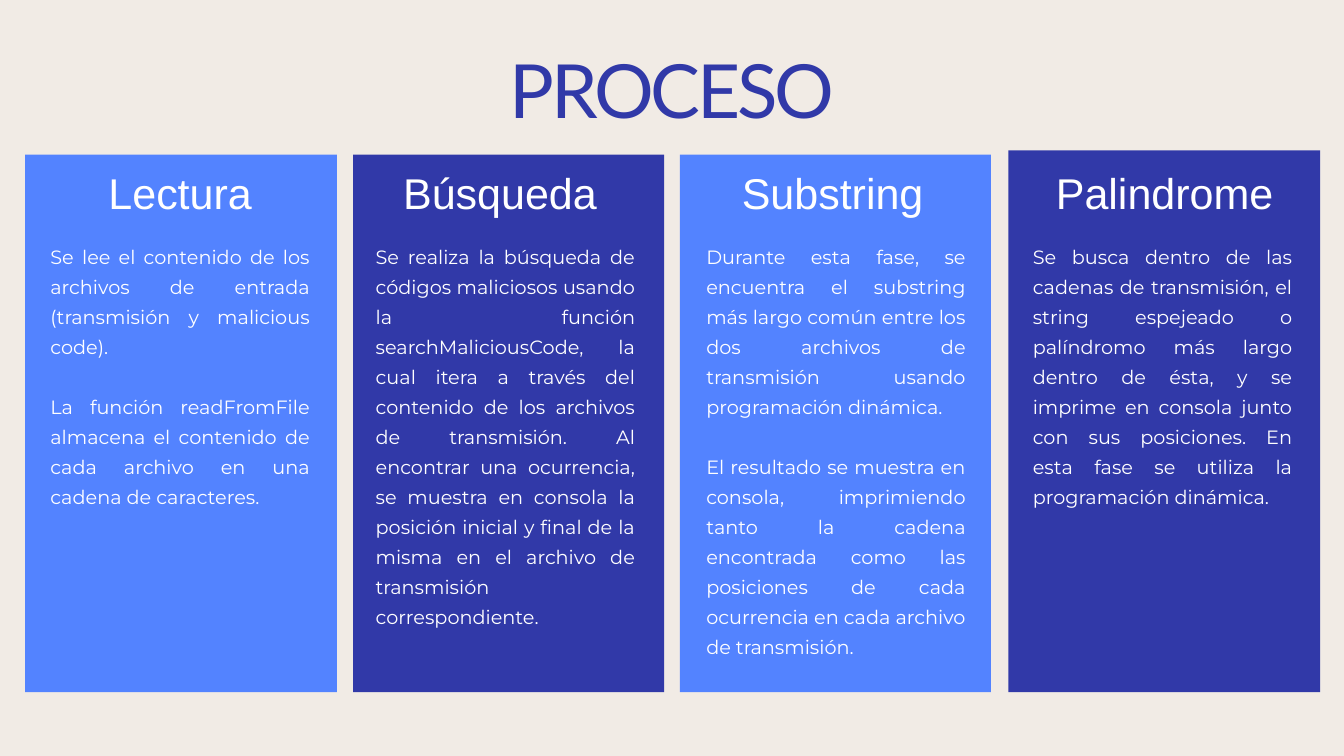
"""Build the slide that explains the four phases of the process."""
import dataclasses
import typing

import pptx
import pptx.dml.color
import pptx.enum.shapes
import pptx.enum.text
import pptx.util

Pt = pptx.util.Pt
ALIGN = pptx.enum.text.PP_ALIGN
COLORS = {"paper": "F1EBE5", "light": "5383FF", "dark": "3139A8", "white": "FFFFFF"}
CARD_BOTTOM = 741.6
TEXT_WIDTH = 278
HEADING_TOP, HEADING_HEIGHT = 186.5, 51
BODY_TOP = 254.9


@dataclasses.dataclass(frozen=True)
class TextStyle:
    """Describe the look of a text."""
    font: str
    size: float
    color: str
    align: typing.Any
    line: float
    gap: float = 0


@dataclasses.dataclass(frozen=True)
class Phase:
    """Describe one card of the process."""
    left: float
    top: float
    width: float
    color: str
    heading: str
    heading_left: float
    body_left: float
    body_height: float
    paragraphs: tuple[str, ...]


TITLE = TextStyle("Lato", 80, "dark", ALIGN.CENTER, 80)
HEADING = TextStyle("Arial", 46.1, "white", ALIGN.CENTER, 47.5)
BODY = TextStyle("Montserrat", 20.6, "white", ALIGN.JUSTIFY, 32.2, 32.2)

PHASES = (
    Phase(27, 165.6, 334, "light", "Lectura", 54, 54, 282, (
        "Se lee el contenido de los archivos de entrada (transmisión y malicious code).",
        "La función readFromFile almacena el contenido de cada archivo en una cadena de caracteres.",
    )),
    Phase(378.5, 165.6, 333, "dark", "Búsqueda", 396.7, 402.5, 440, (
        "Se realiza la búsqueda de códigos maliciosos usando la función searchMaliciousCode, "
        "la cual itera a través del contenido de los archivos de transmisión. Al encontrar una "
        "ocurrencia, se muestra en consola la posición inicial y final de la misma en el archivo "
        "de transmisión correspondiente.",
    )),
    Phase(728.6, 165.6, 333, "light", "Substring", 753.1, 756.7, 440, (
        "Durante esta fase, se encuentra el substring más largo común entre los dos archivos "
        "de transmisión usando programación dinámica.",
        "El resultado se muestra en consola, imprimiendo tanto la cadena encontrada como las "
        "posiciones de cada ocurrencia en cada archivo de transmisión.",
    )),
    Phase(1080.5, 161.2, 334, "dark", "Palindrome", 1108.8, 1106.6, 282, (
        "Se busca dentro de las cadenas de transmisión, el string espejeado o palíndromo más "
        "largo dentro de ésta, y se imprime en consola junto con sus posiciones. En esta fase "
        "se utiliza la programación dinámica.",
    )),
)


def rgb(name: str) -> pptx.dml.color.RGBColor:
    """Return a named colour."""
    return pptx.dml.color.RGBColor.from_string(COLORS[name])


def set_all(target: typing.Any, values: dict[str, typing.Any]) -> None:
    """Set each attribute of the target to its value."""
    for name, value in values.items():
        setattr(target, name, value)


def write(box: typing.Any, paragraphs: tuple[str, ...], style: TextStyle) -> None:
    """Fill a box with styled paragraphs."""
    frame = box.text_frame
    set_all(frame, {
        "word_wrap": True, "auto_size": pptx.enum.text.MSO_AUTO_SIZE.NONE,
        "vertical_anchor": pptx.enum.text.MSO_ANCHOR.TOP,
        "margin_left": 0, "margin_top": 0, "margin_right": 0, "margin_bottom": 0,
    })
    for index, text in enumerate(paragraphs):
        para = frame.paragraphs[0] if index == 0 else frame.add_paragraph()
        set_all(para, {
            "alignment": style.align, "line_spacing": Pt(style.line),
            "space_before": Pt(style.gap if index else 0),
        })
        span = para.add_run()
        span.text = text
        set_all(span.font, {"name": style.font, "size": Pt(style.size)})
        span.font.color.rgb = rgb(style.color)


def add_title(slide: typing.Any, text: str) -> None:
    """Place the title with tightened letters."""
    title = slide.shapes.title
    set_all(title, {"left": Pt(195), "top": Pt(63.4), "width": Pt(1050), "height": Pt(83.5)})
    write(title, (text,), TITLE)
    title.text_frame.paragraphs[0].runs[0]._r.get_or_add_rPr().set("spc", "-340")


def add_phase(slide: typing.Any, phase: Phase) -> None:
    """Draw a card with its heading and body."""
    card = slide.shapes.add_shape(
        pptx.enum.shapes.MSO_SHAPE.RECTANGLE, Pt(phase.left), Pt(phase.top),
        Pt(phase.width), Pt(CARD_BOTTOM - phase.top))
    card.shadow.inherit = False
    card.fill.solid()
    card.fill.fore_color.rgb = rgb(phase.color)
    card.line.fill.background()
    for left, top, height, paragraphs, style in (
        (phase.heading_left, HEADING_TOP, HEADING_HEIGHT, (phase.heading,), HEADING),
        (phase.body_left, BODY_TOP, phase.body_height, phase.paragraphs, BODY),
    ):
        box = slide.shapes.add_textbox(Pt(left), Pt(top), Pt(TEXT_WIDTH), Pt(height))
        write(box, paragraphs, style)


def main() -> None:
    """Build and save the deck."""
    deck = pptx.Presentation()
    set_all(deck, {"slide_width": Pt(1440), "slide_height": Pt(810)})
    slide = deck.slides.add_slide(deck.slide_layouts.get_by_name("Title Only"))
    slide.background.fill.solid()
    slide.background.fill.fore_color.rgb = rgb("paper")
    add_title(slide, "PROCESO")
    for phase in PHASES:
        add_phase(slide, phase)
    deck.save("out.pptx")


if __name__ == "__main__":
    main()
